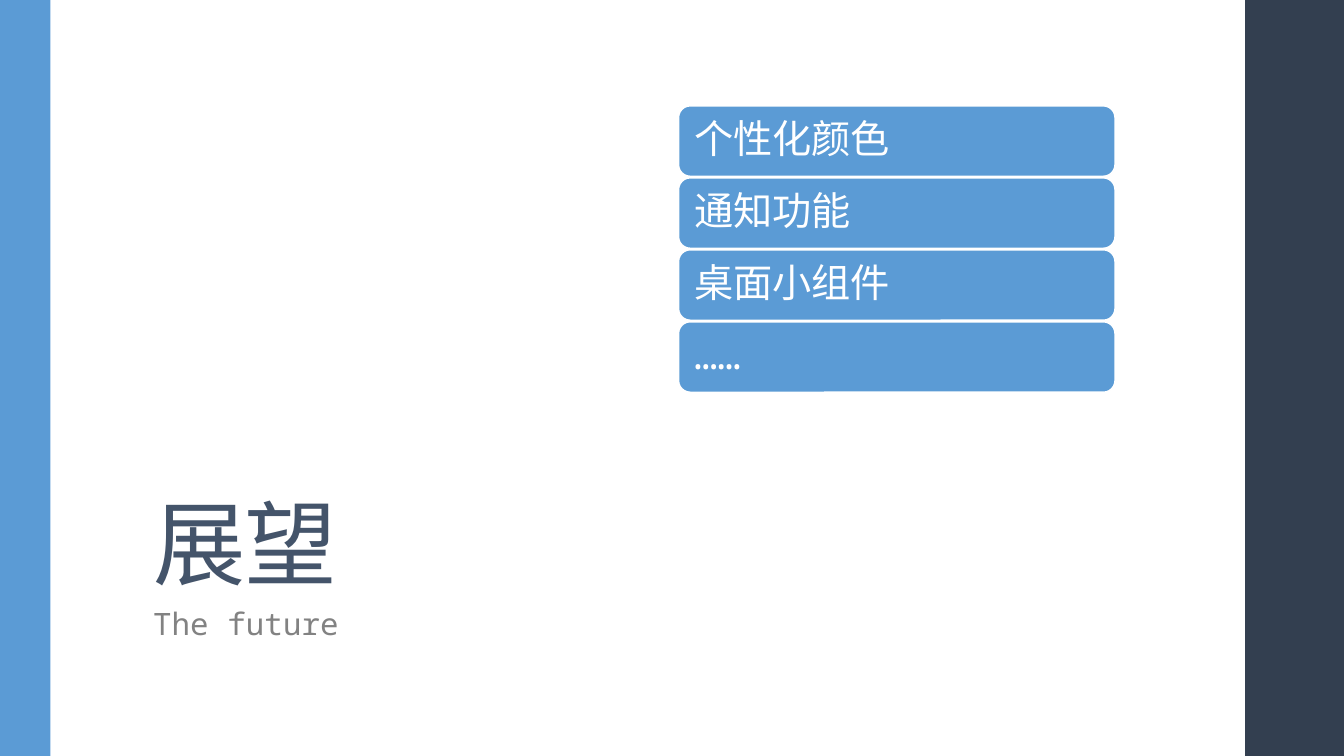
"""Build the outlook slide: a title, a subtitle and a stack of planned features."""
from pptx import Presentation
from pptx import util as u
from pptx.dml.color import RGBColor
from pptx.enum import shapes, text

BLUE, NAVY, WHITE = "5B9BD5", "333F50", "FFFFFF"


def add_block(kind, left, top, width, height, fill):
    block = page.shapes.add_shape(
        kind, u.Inches(left), u.Inches(top), u.Inches(width), u.Inches(height))
    block.shadow.inherit = False
    block.fill.solid()
    block.fill.fore_color.rgb = RGBColor.from_string(fill)
    block.line.fill.background()
    return block


def write(box, words, *, font, size, color, anchor, line, before=0, after=0,
          spacing=0, inset=0.1, inset_y=0.05):
    frame = box.text_frame
    frame.word_wrap = True
    frame.vertical_anchor = anchor
    frame.margin_left = frame.margin_right = u.Inches(inset)
    frame.margin_top = frame.margin_bottom = u.Inches(inset_y)
    para = frame.paragraphs[0]
    para.alignment = text.PP_ALIGN.LEFT
    para.line_spacing = line
    para.space_before, para.space_after = u.Pt(before), u.Pt(after)
    span = para.add_run()
    span.text = words
    span.font.name = font
    span.font.size = u.Pt(size)
    span.font.color.rgb = RGBColor.from_string(color)
    if spacing:
        span.font._element.set("spc", str(round(spacing * 100)))


deck = Presentation()
deck.slide_width, deck.slide_height = u.Inches(13.33), u.Inches(7.5)
page = deck.slides.add_slide(deck.slide_layouts[6])

for left, width, color in [(12.35, 0.98, NAVY), (0, 0.5, BLUE)]:
    add_block(shapes.MSO_SHAPE.RECTANGLE, left, 0, width, 7.5, color)

title = page.shapes.add_textbox(u.Inches(1.42), u.Inches(3.75), u.Inches(7), u.Inches(2.23))
write(title, "展望", font="Cambria", size=66, color="44546A",
      anchor=text.MSO_ANCHOR.BOTTOM, line=0.85, spacing=-0.5)

subtitle = page.shapes.add_textbox(u.Inches(1.42), u.Inches(5.98), u.Inches(7.35), u.Inches(0.55))
write(subtitle, "The future", font="Noto Sans Mono", size=22, color="828282",
      anchor=text.MSO_ANCHOR.TOP, line=0.95, before=14, after=2, spacing=0.1)

features = ["个性化颜色", "通知功能", "桌面小组件", "……"]
first_top, pitch = 1.05, 0.714
for index, feature in enumerate(features):
    card = add_block(shapes.MSO_SHAPE.ROUNDED_RECTANGLE,
                     6.73, first_top + index * pitch, 4.33, 0.7, BLUE)
    card.line.color.rgb = RGBColor.from_string(WHITE)
    card.line.width = u.Pt(1.1)
    write(card, feature, font="Noto Sans Mono", size=28, color=WHITE,
          anchor=text.MSO_ANCHOR.MIDDLE, line=0.9, inset=0.12, inset_y=0.12)

deck.save("out.pptx")
